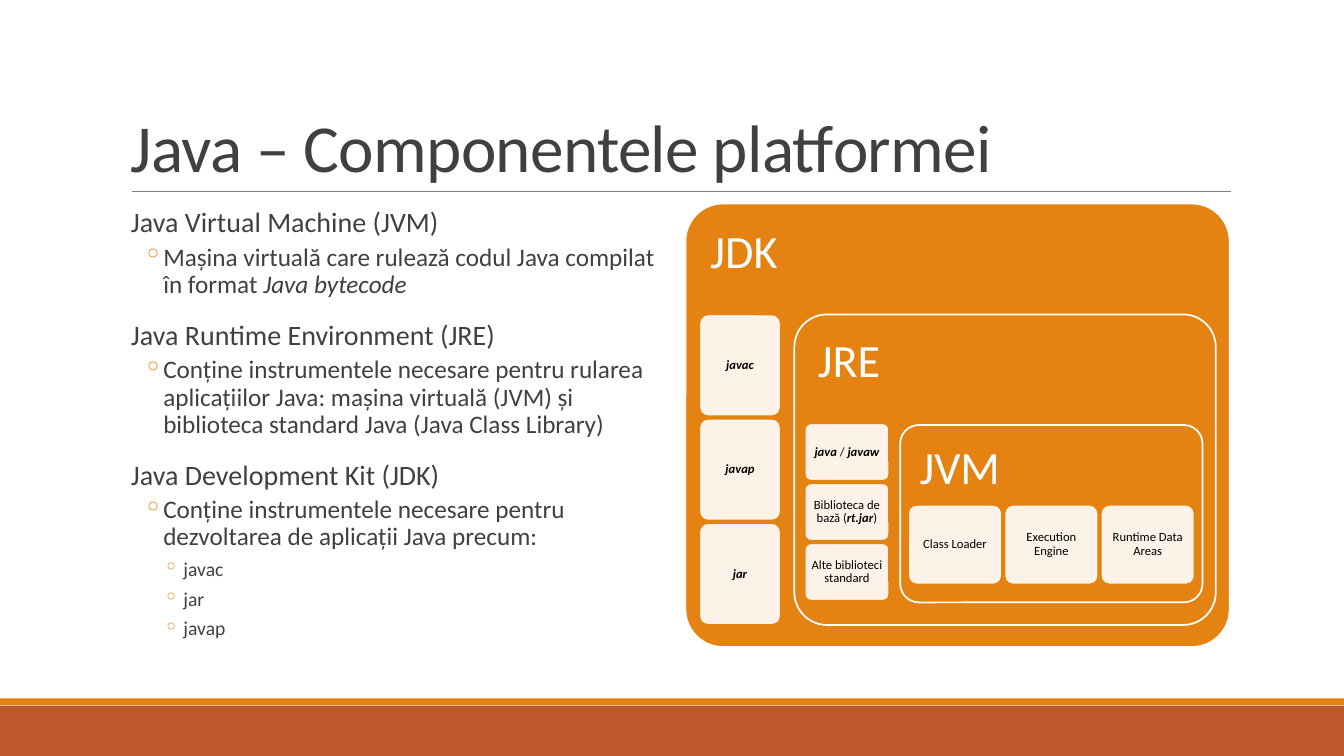
from dataclasses import dataclass

from lxml import etree
from pptx import Presentation
from pptx.dml.color import RGBColor
from pptx.enum.shapes import MSO_CONNECTOR, MSO_SHAPE
from pptx.enum.text import MSO_ANCHOR, PP_ALIGN
from pptx.oxml.ns import qn
from pptx.util import Pt

RECTANGLE = MSO_SHAPE.RECTANGLE
ROUNDED = MSO_SHAPE.ROUNDED_RECTANGLE
STRAIGHT = MSO_CONNECTOR.STRAIGHT
TOP, MIDDLE, BOTTOM = MSO_ANCHOR.TOP, MSO_ANCHOR.MIDDLE, MSO_ANCHOR.BOTTOM
LEFT, CENTER = PP_ALIGN.LEFT, PP_ALIGN.CENTER


@dataclass(frozen=True)
class Theme:
    font: str = "Calibri"
    accent: str = "E48312"
    footer: str = "BD582C"
    rule: str = "808080"
    ink: str = "404040"
    white: str = "FFFFFF"
    black: str = "000000"
    title_size: float = 48
    container_size: float = 33
    tile_size: float = 9
    body_sizes: tuple = (20, 18, 14)


THEME = Theme()

BODY = [
    (0, [("Java Virtual Machine (JVM)", "")]),
    (1, [("Mașina virtuală care rulează codul Java compilat în format ", ""),
         ("Java bytecode", "i")]),
    (0, [("Java Runtime Environment (JRE)", "")]),
    (1, [("Conține instrumentele necesare pentru rularea aplicațiilor Java: "
          "mașina virtuală (JVM) și biblioteca standard Java (Java Class Library)", "")]),
    (0, [("Java Development Kit (JDK)", "")]),
    (1, [("Conține instrumentele necesare pentru dezvoltarea de aplicații Java precum:", "")]),
    (2, [("javac", "")]),
    (2, [("jar", "")]),
    (2, [("javap", "")]),
]
JDK_TOOLS = [[(name, "bi")] for name in ("javac", "javap", "jar")]
JRE_PARTS = [
    [("java", "bi"), (" / ", ""), ("javaw", "bi")],
    [("Biblioteca de bază (", ""), ("rt.jar", "bi"), (")", "")],
    [("Alte biblioteci standard", "")],
]
JVM_PARTS = [[(name, "")] for name in ("Class Loader", "Execution Engine", "Runtime Data Areas")]


def color(value):
    return RGBColor.from_string(value)


def lengths(box):
    return [Pt(value) for value in box]


def prepare(frame, insets, anchor=TOP):
    frame.word_wrap = True
    frame.vertical_anchor = anchor
    frame.margin_left, frame.margin_top, frame.margin_right, frame.margin_bottom = lengths(insets)


def write(para, spans, size, ink, spacing=0.9, align=LEFT):
    para.alignment = align
    para.line_spacing = spacing
    para.font.name = THEME.font
    para.font.size = Pt(size)
    para.font.color.rgb = color(ink)
    for text, style in spans:
        span = para.add_run()
        span.text = text
        if "b" in style:
            span.font.bold = True
        if "i" in style:
            span.font.italic = True


def add_bullet(para):
    properties = para._p.get_or_add_pPr()
    bullet_color = etree.Element(qn("a:buClr"))
    etree.SubElement(bullet_color, qn("a:srgbClr"), val=THEME.accent)
    bullet = etree.Element(qn("a:buChar"), char="◦")
    defaults = properties.find(qn("a:defRPr"))
    defaults.addprevious(bullet_color)
    defaults.addprevious(bullet)


def add_block(page, kind, box, fill, line=None):
    block = page.shapes.add_shape(kind, *lengths(box))
    block.shadow.inherit = False
    block.fill.solid()
    block.fill.fore_color.rgb = color(fill)
    if line:
        block.line.color.rgb = color(line)
        block.line.width = Pt(1.25)
    else:
        block.line.fill.background()
    return block


def add_footer(page, box):
    left, top, width, height = box
    add_block(page, RECTANGLE, (left, top + 5.2, width, height - 5.2), THEME.footer)
    add_block(page, RECTANGLE, (left, top, width, 4.8), THEME.accent)


def add_title(page, box):
    left, top, width, height = box
    rule_y = top + height
    rule = page.shapes.add_connector(
        STRAIGHT, *lengths((left + 7.9, rule_y, left + width + 0.7, rule_y)))
    rule.line.color.rgb = color(THEME.rule)
    rule.line.width = Pt(0.5)
    etree.SubElement(rule._element.spPr, qn("a:effectLst"))
    frame = page.shapes.add_textbox(*lengths(box)).text_frame
    prepare(frame, (7.2, 3.6, 7.2, 3.6), BOTTOM)
    para = frame.paragraphs[0]
    write(para, [("Java – Componentele platformei", "")], THEME.title_size, THEME.ink, 0.85)
    for span in para.runs:
        span._r.get_or_add_rPr().set("spc", "-50")


def add_body(page, box):
    frame = page.shapes.add_textbox(*lengths(box)).text_frame
    prepare(frame, (0, 3.6, 0, 3.6))
    for index, (level, spans) in enumerate(BODY):
        para = frame.add_paragraph() if index else frame.paragraphs[0]
        write(para, spans, THEME.body_sizes[level], THEME.ink)
        para.level = level
        para.space_before = Pt(2 if level else 12)
        para.space_after = Pt(4 if level else 2)
        properties = para._p.get_or_add_pPr()
        properties.set("marL", str(Pt((7.2, 30.24, 44.64)[level])))
        properties.set("indent", str(Pt(-14.4 if level else 0)))
        if level:
            add_bullet(para)


def add_container(page, box, name, corner):
    container = add_block(page, ROUNDED, box, THEME.accent, THEME.white)
    container.adjustments[0] = corner
    prepare(container.text_frame, (10, 10, 10, 10))
    write(container.text_frame.paragraphs[0], [(name, "")], THEME.container_size, THEME.white)


def add_tiles(page, box, labels, stacked=True, gap=1.8):
    left, top, width, height = box
    count = len(labels)
    extent = ((height if stacked else width) - gap * (count - 1)) / count
    for index, spans in enumerate(labels):
        offset = index * (extent + gap)
        place = ((left, top + offset, width, extent) if stacked
                 else (left + offset, top, extent, height))
        tile = add_block(page, ROUNDED, place, THEME.white, THEME.accent)
        tile.adjustments[0] = 0.105
        fill = tile._element.spPr.find(qn("a:solidFill"))
        etree.SubElement(fill[0], qn("a:alpha"), val="90000")
        prepare(tile.text_frame, (2.7, 2.7, 2.7, 2.7), MIDDLE)
        write(tile.text_frame.paragraphs[0], spans, THEME.tile_size, THEME.black, align=CENTER)


def add_jvm(page, box):
    left, top, width, height = box
    add_container(page, box, "JVM", 0.105)
    add_tiles(page, (left + 5.7, top + 57, width - 11.4, 56.9), JVM_PARTS, stacked=False)


def add_jre(page, box):
    left, top, width, height = box
    add_container(page, box, "JRE", 0.105)
    add_tiles(page, (left + 7.4, top + 77.8, 60.3, 126.7), JRE_PARTS)
    add_jvm(page, (left + 75.6, top + 79, width - 85, height - 95.1))


def add_jdk(page, box):
    left, top, width, height = box
    add_container(page, box, "JDK", 0.085)
    add_tiles(page, (left + 9.9, top + 79.2, 58.2, 221.8), JDK_TOOLS)
    add_jre(page, (left + 77.8, top + 79.2, width - 87.8, height - 95))


def main():
    deck = Presentation()
    deck.slide_width, deck.slide_height = Pt(960), Pt(540)
    page = deck.slides.add_slide(deck.slide_layouts[6])
    add_footer(page, (0, 498.8, 960, 41.2))
    add_title(page, (86.4, 22.6, 792, 114.2))
    add_body(page, (86.4, 145.4, 388.8, 316.8))
    add_jdk(page, (489.6, 145.4, 388.8, 316.8))
    deck.save("out.pptx")


if __name__ == "__main__":
    main()
